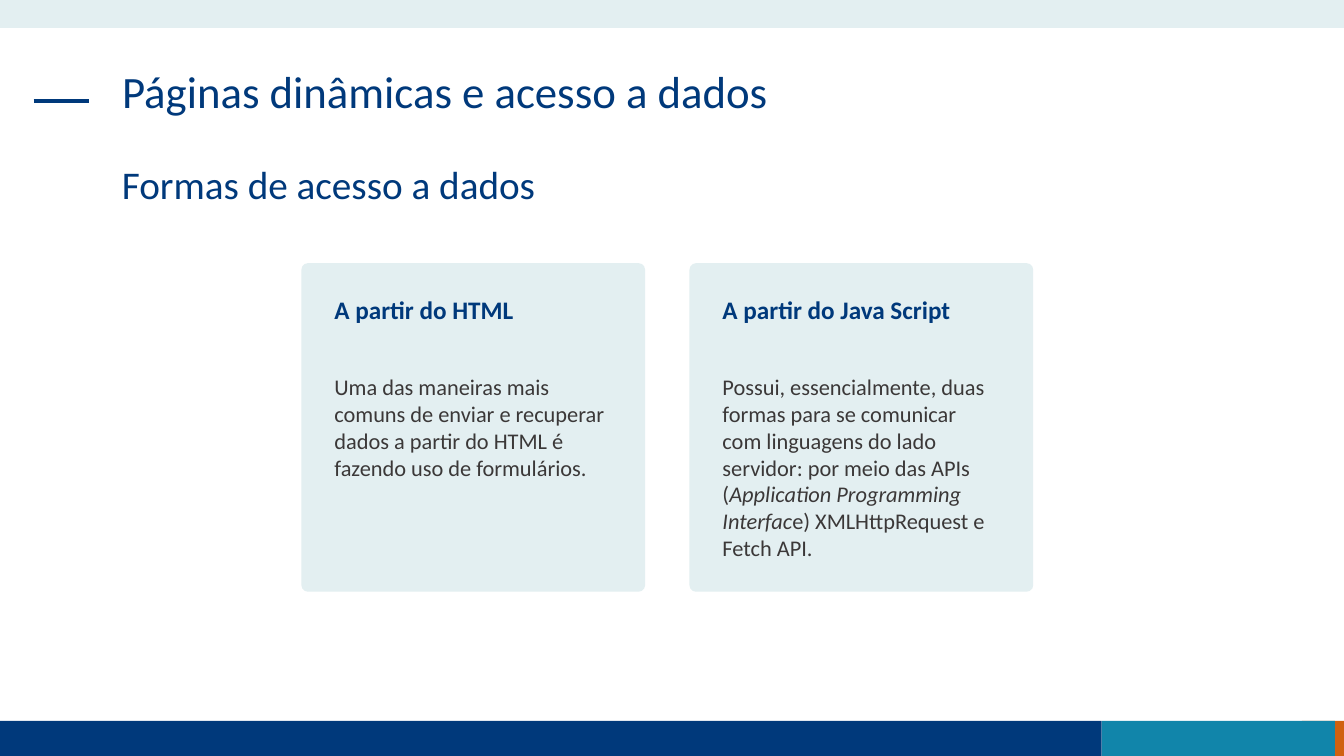
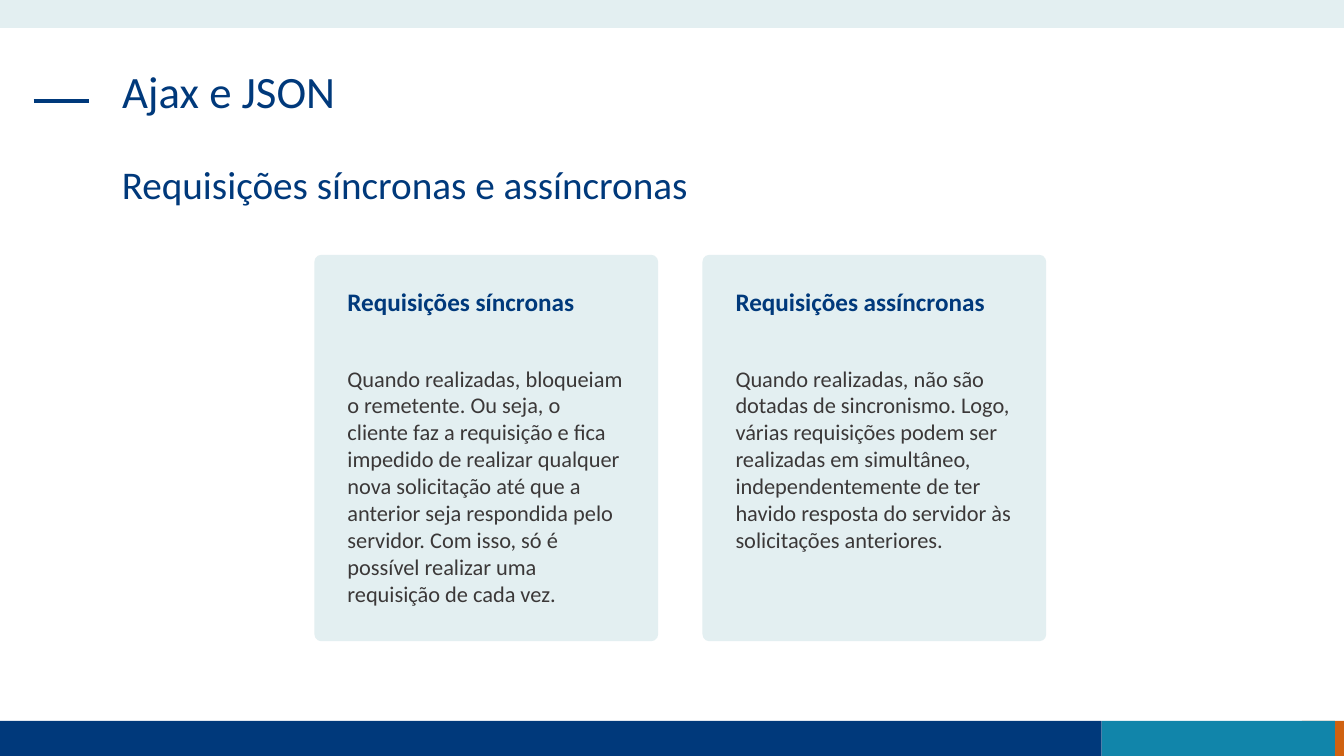
from lxml.etree import SubElement
from pptx import Presentation
from pptx.dml.color import RGBColor
from pptx.enum.shapes import MSO_CONNECTOR as Connector, MSO_SHAPE as Shape
from pptx.enum.text import MSO_ANCHOR as Anchor, MSO_AUTO_SIZE as AutoSize, PP_ALIGN as Align
from pptx.oxml.ns import qn
from pptx.util import Pt

NAVY, TEAL, ORANGE, PALE, GRAY = "00397B", "1185AA", "D06110", "E3EFF1", "3B3838"
FONT = "Calibri"
BANDS = [
    (930, 515, 30, 25, ORANGE),
    (0, 515, 787, 25, NAVY),
    (787, 515, 166.5, 25, TEAL),
    (0, 0, 960, 20, PALE),
]
TEXT_LEFT, TEXT_WIDTH, HEADING_HEIGHT = 80, 800, 68
TITLE_TOP, SUBTITLE_TOP = 46, 114.5
CARD_WIDTH, CARD_GAP = 245.5, 31.7
CARD_PADDING, HEADING_OFFSET, BODY_OFFSET = 16.5, 18.7, 75

SLIDES = [
    {
        "title": "Páginas dinâmicas e acesso a dados",
        "subtitle": "Formas de acesso a dados",
        "cards_at": (215.3, 188, 234.7),
        "cards": [
            ("A partir do HTML", [
                ("Uma das maneiras mais comuns de enviar e recuperar dados a partir do "
                 "HTML é fazendo uso de formulários.", False),
            ]),
            ("A partir do Java Script", [
                ("Possui, essencialmente, duas formas para se comunicar com linguagens "
                 "do lado servidor: por meio das APIs (", False),
                ("Application Programming Interfac", True),
                ("e) XMLHttpRequest e Fetch API.", False),
            ]),
        ],
    },
    {
        "title": "Ajax e JSON",
        "subtitle": "Requisições síncronas e assíncronas",
        "cards_at": (224.6, 182, 276),
        "cards": [
            ("Requisições síncronas", [
                ("Quando realizadas, bloqueiam o remetente. Ou seja, o cliente faz a "
                 "requisição e fica impedido de realizar qualquer nova solicitação até que "
                 "a anterior seja respondida pelo servidor. Com isso, só é possível "
                 "realizar uma requisição de cada vez.", False),
            ]),
            ("Requisições assíncronas", [
                ("Quando realizadas, não são dotadas de sincronismo. Logo, várias "
                 "requisições podem ser realizadas em simultâneo, independentemente de ter "
                 "havido resposta do servidor às solicitações anteriores.", False),
            ]),
        ],
    },
]


def add_block(shapes, preset, left, top, width, height, color):
    shape = shapes.add_shape(preset, Pt(left), Pt(top), Pt(width), Pt(height))
    shape.shadow.inherit = False
    shape.fill.solid()
    shape.fill.fore_color.rgb = RGBColor.from_string(color)
    shape.line.fill.background()
    return shape


def write_text(shape, pieces, size, color, bold=False, spacing=1.0):
    frame = shape.text_frame
    frame.word_wrap = True
    frame.auto_size = AutoSize.NONE
    frame.vertical_anchor = Anchor.TOP
    paragraph = frame.paragraphs[0]
    paragraph.alignment = Align.LEFT
    paragraph.line_spacing = spacing
    for text, italic in pieces:
        run = paragraph.add_run()
        run.text = text
        run.font.name = FONT
        run.font.size = Pt(size)
        run.font.bold = bold
        run.font.italic = italic
        run.font.color.rgb = RGBColor.from_string(color)


presentation = Presentation()
presentation.slide_width, presentation.slide_height = Pt(960), Pt(540)

for content in SLIDES:
    slide = presentation.slides.add_slide(presentation.slide_layouts[5])
    for left, top, width, height, color in BANDS:
        add_block(slide.shapes, Shape.RECTANGLE, left, top, width, height, color)

    dash = slide.shapes.add_connector(Connector.STRAIGHT, Pt(24), Pt(72), Pt(63.5), Pt(72))
    dash.line.color.rgb = RGBColor.from_string(NAVY)
    dash.line.width = Pt(3)
    SubElement(dash.line._get_or_add_ln().getparent(), qn("a:effectLst"))

    title = slide.shapes.title
    title.left, title.top = Pt(TEXT_LEFT), Pt(TITLE_TOP)
    title.width, title.height = Pt(TEXT_WIDTH), Pt(HEADING_HEIGHT)
    write_text(title, [(content["title"], False)], 32, NAVY, spacing=0.9)
    subtitle = slide.shapes.add_textbox(
        Pt(TEXT_LEFT), Pt(SUBTITLE_TOP), Pt(TEXT_WIDTH), Pt(HEADING_HEIGHT))
    write_text(subtitle, [(content["subtitle"], False)], 28, NAVY, spacing=0.9)

    cards_left, card_top, card_height = content["cards_at"]
    for index, (heading, body) in enumerate(content["cards"]):
        card_left = cards_left + index * (CARD_WIDTH + CARD_GAP)
        group = slide.shapes.add_group_shape()
        card = add_block(group.shapes, Shape.ROUNDED_RECTANGLE,
                         card_left, card_top, CARD_WIDTH, card_height, PALE)
        card.adjustments[0] = 0.02
        for offset, height, pieces, size, color, bold in [
            (HEADING_OFFSET, 29, [(heading, False)], 18, NAVY, True),
            (BODY_OFFSET, card_height - BODY_OFFSET - CARD_PADDING, body, 16, GRAY, False),
        ]:
            box = group.shapes.add_textbox(
                Pt(card_left + CARD_PADDING), Pt(card_top + offset),
                Pt(CARD_WIDTH - 2 * CARD_PADDING), Pt(height))
            write_text(box, pieces, size, color, bold)

presentation.save("out.pptx")
